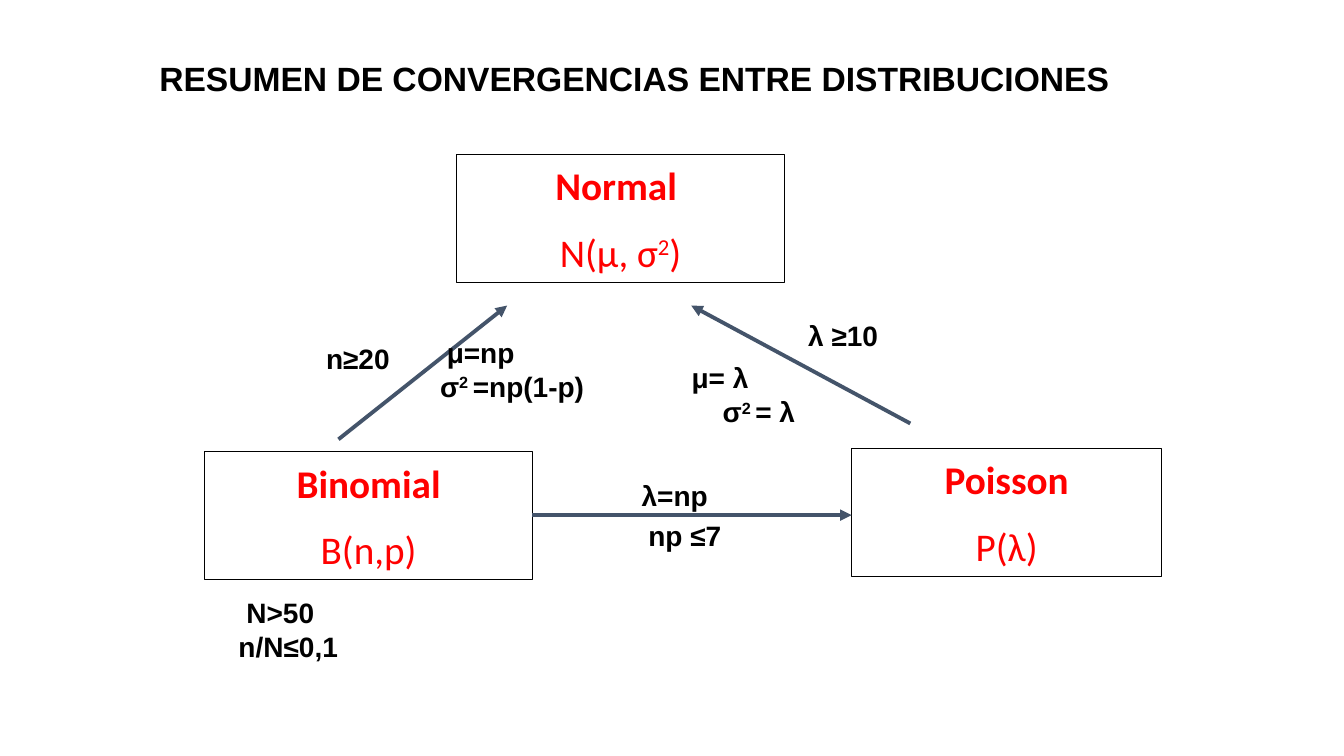
"""Build the slide that sums up convergences between distributions."""
import lxml.etree
import pptx
import pptx.dml.color
import pptx.enum.shapes
import pptx.enum.text
import pptx.oxml.ns
import pptx.util

Cm, Pt = pptx.util.Cm, pptx.util.Pt
ALIGN, ANCHOR = pptx.enum.text.PP_ALIGN, pptx.enum.text.MSO_ANCHOR
COLOURS = {
    name: pptx.dml.color.RGBColor.from_string(value)
    for name, value in {
        "paper": "FFFFFF", "ink": "000000", "name": "FF0000", "arrow": "44546A",
    }.items()
}
TITLE = {"name": "Arial", "size": Pt(24), "bold": True}
LABEL = {"name": "Arial", "size": Pt(20), "bold": True}
HEADING = {"name": "Calibri", "size": Pt(28), "bold": True}
FORMULA = {**HEADING, "bold": False}


def write(para, text, style, colour):
    """Write text in runs, raising the parts between carets."""
    for index, part in enumerate(text.split("^")):
        span = para.add_run()
        span.text = part
        for key, value in style.items():
            setattr(span.font, key, value)
        span.font.color.rgb = COLOURS[colour]
        if index % 2:
            span.font._element.set("baseline", "30000")


deck = pptx.Presentation()
deck.slide_width, deck.slide_height = Cm(33.87), Cm(19.05)
page = deck.slides.add_slide(deck.slide_layouts[5])

title = page.shapes.title
place = {"left": Cm(3.76), "top": Cm(1.32), "width": Cm(25.25), "height": Cm(1.27)}
for key, value in place.items():
    setattr(title, key, value)
title.text_frame.vertical_anchor = ANCHOR.MIDDLE
title.text_frame.paragraphs[0].alignment = ALIGN.LEFT
write(title.text_frame.paragraphs[0],
      "RESUMEN DE CONVERGENCIAS ENTRE DISTRIBUCIONES", TITLE, "ink")

distributions = [
    ("Normal ", "N(μ, σ^2^)", 11.51, 3.89, 8.26),
    ("Poisson", "P(λ)", 21.46, 11.3, 7.82),
    ("Binomial", "B(n,p)", 5.16, 11.38, 8.26),
]
for heading, formula, left, top, width in distributions:
    box = page.shapes.add_shape(
        pptx.enum.shapes.MSO_SHAPE.RECTANGLE, Cm(left), Cm(top), Cm(width), Cm(3.23))
    box.shadow.inherit = False
    box.fill.solid()
    box.fill.fore_color.rgb = COLOURS["paper"]
    box.line.color.rgb = COLOURS["ink"]
    box.line.width = Pt(1)
    frame = box.text_frame
    frame.vertical_anchor = ANCHOR.MIDDLE
    paras = [frame.paragraphs[0], frame.add_paragraph()]
    paras[1].space_before = Pt(14)
    for para, text, style in zip(paras, (heading, formula), (HEADING, FORMULA)):
        para.alignment = ALIGN.CENTER
        write(para, text, style, "name")

arrows = [
    (8.53, 11.07, 12.78, 7.7),
    (22.94, 10.67, 17.42, 7.7),
    (13.41, 12.98, 21.46, 12.98),
]
for ends in arrows:
    arrow = page.shapes.add_connector(
        pptx.enum.shapes.MSO_CONNECTOR.STRAIGHT, *(Cm(end) for end in ends))
    arrow.line.color.rgb = COLOURS["arrow"]
    arrow.line.width = Pt(2.75)
    line = arrow.line._get_or_add_ln()
    lxml.etree.SubElement(line, pptx.oxml.ns.qn("a:tailEnd"), type="triangle")
    lxml.etree.SubElement(arrow._element.spPr, pptx.oxml.ns.qn("a:effectLst"))

conditions = [
    (5.36, 14.88, 3.81, [("N>50", 0.6), ("n/N≤0,1", 0.4)]),
    (6.58, 8.48, 4.88, [("n≥20", None)]),
    (10.67, 8.33, 4.65, [("μ=np", 0.34), ("σ^2 ^=np(1-p)", 0.17)]),
    (19.13, 7.9, 4.24, [("λ ≥10", None)]),
    (16.79, 8.97, 4.65, [("μ= λ", 0.39), ("σ^2 ^= λ", 1.17)]),
    (14.68, 11.94, 4.65, [("λ=np", None)]),
    (15.57, 12.95, 3.38, [("np ≤7", None)]),
]
for left, top, width, lines in conditions:
    height = 0.22 + 0.87 * len(lines)
    label = page.shapes.add_textbox(Cm(left), Cm(top), Cm(width), Cm(height))
    frame = label.text_frame
    frame.word_wrap = True
    for index, (text, indent) in enumerate(lines):
        para = frame.add_paragraph() if index else frame.paragraphs[0]
        if indent is None:
            para.alignment = ALIGN.CENTER
        else:
            para.alignment = ALIGN.LEFT
            para._p.get_or_add_pPr().set("marL", str(Cm(indent)))
        write(para, text, LABEL, "ink")

deck.save("out.pptx")
